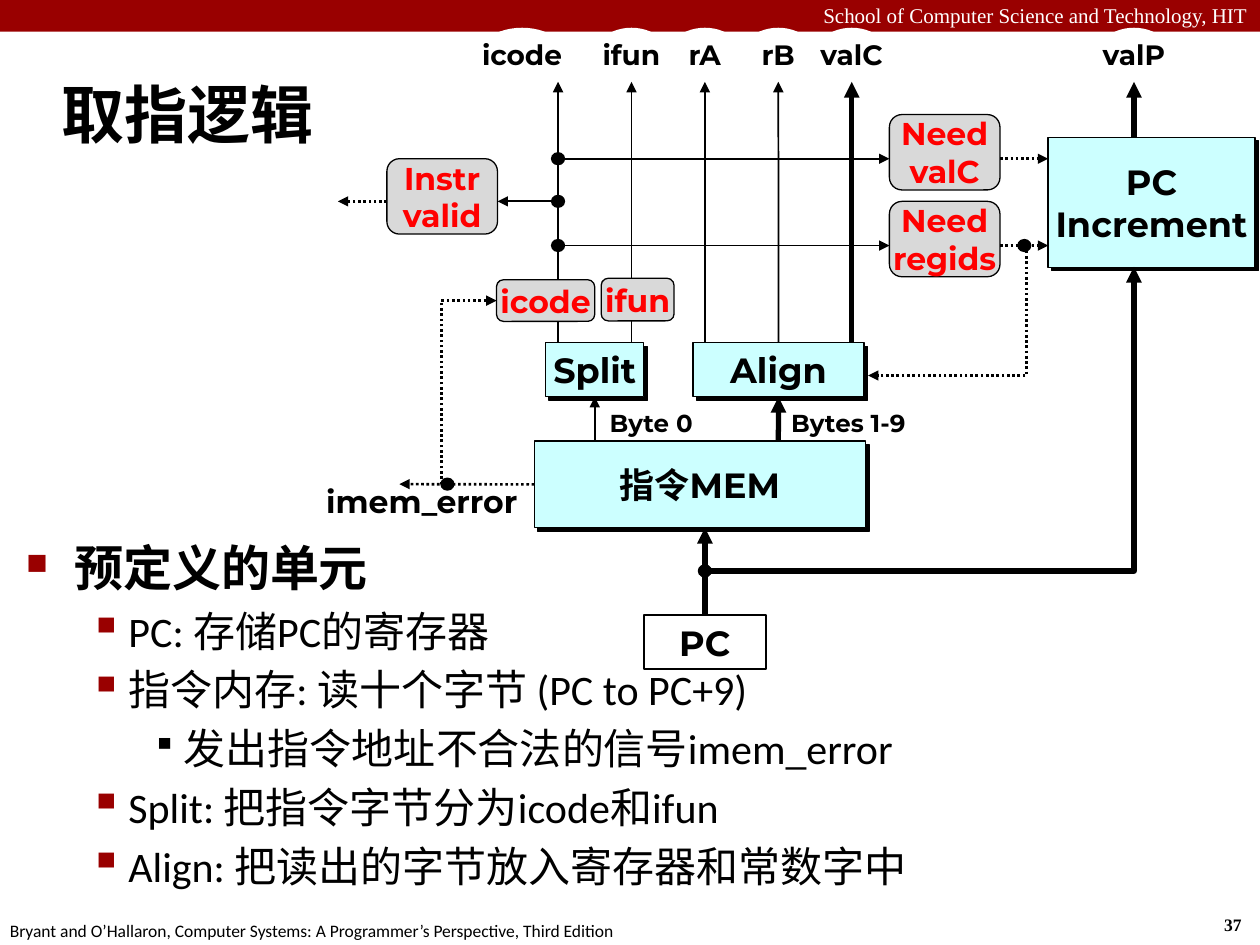
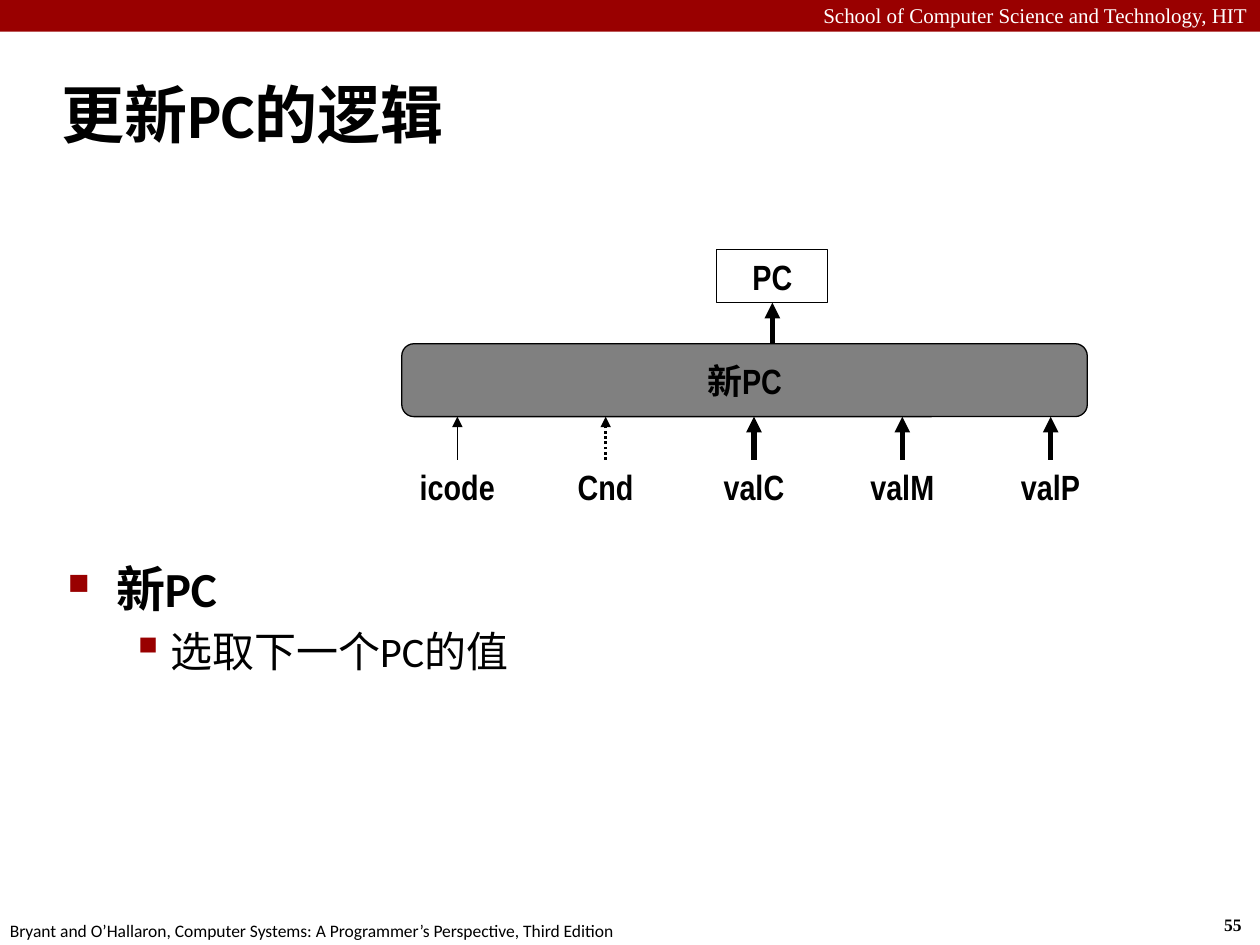
"""Build two lecture slides on the fetch stage and the PC update logic."""
import lxml.etree as etree
import pptx
import pptx.dml.color
import pptx.enum.dml
import pptx.enum.shapes
import pptx.enum.text
import pptx.util

Cm = pptx.util.Cm
Pt = pptx.util.Pt
qn = pptx.oxml.ns.qn
colour = pptx.dml.color.RGBColor.from_string
SHAPE = pptx.enum.shapes.MSO_SHAPE
ALIGN = pptx.enum.text.PP_ALIGN
MIDDLE = pptx.enum.text.MSO_ANCHOR.MIDDLE

BLACK, WHITE, RED, DARK_RED = "000000", "FFFFFF", "FF0000", "990000"
CYAN, LIGHT_GREY, GREY = "CCFFFF", "D9D9D9", "808080"

# kind: preset, fill, outline width, text size, text colour, shadow
BOX_KINDS = {
    "unit": (SHAPE.RECTANGLE, CYAN, 0.75, 20, BLACK, True),
    "control": (SHAPE.ROUNDED_RECTANGLE, LIGHT_GREY, 0.75, 18, RED, False),
    "tag": (SHAPE.ROUNDED_RECTANGLE, LIGHT_GREY, 0.75, 18, RED, False),
    "new_pc": (SHAPE.ROUNDED_RECTANGLE, GREY, 0.75, 20, BLACK, False),
    "register": (SHAPE.RECTANGLE, WHITE, 1, 20, BLACK, False),
    "result": (SHAPE.RECTANGLE, WHITE, 0.75, 20, BLACK, False),
    "output": (SHAPE.OVAL, WHITE, None, 16, BLACK, False),
    "signal": (SHAPE.OVAL, None, None, 18, BLACK, False),
    "input": (SHAPE.OVAL, None, None, 20, BLACK, False),
    "dot": (SHAPE.OVAL, BLACK, 0.75, 18, BLACK, False),
}
# kind: width, dotted, arrowhead
LINE_KINDS = {
    "thin": (1, False, True),
    "thick": (3, False, True),
    "dotted": (1.5, True, True),
    "stem": (1.5, True, False),
}
# level: left indent, hanging indent, size, bold, bullet, bullet colour, bullet percent
BULLETS = [
    (0.97, 0.97, 28, True, "■", DARK_RED, 60),
    (2.06, 0.79, 24, False, "▪", DARK_RED, 110),
    (3.18, 0.64, 24, False, "▪", BLACK, 80),
]

fetch_columns = [round(11.25 + 1.48 * i, 2) for i in range(5)]
icode_x, ifun_x, ra_x, rb_x, valc_x = fetch_columns
valp_x = 22.86
fetch_boxes = [
    ("unit", "指令MEM", 10.77, 8.89, 6.68, 1.75),
    ("unit", "PC\nIncrement", 21.13, 2.77, 4.17, 2.62),
    ("unit", "Split", 11, 6.91, 1.98, 1.09),
    ("unit", "Align", 13.97, 6.91, 3.45, 1.09),
    ("register", "PC", 12.98, 12.4, 2.46, 1.09),
    ("control", "Need\nvalC", 17.93, 2.31, 2.23, 1.52),
    ("control", "Need\nregids", 17.93, 4.06, 2.23, 1.52),
    ("control", "Instr\nvalid", 7.8, 3.2, 2.23, 1.52),
    ("tag", "icode", 10.01, 5.64, 1.98, 0.84),
    ("tag", "ifun", 12.12, 5.61, 1.47, 0.86),
    ("signal", "imem_error", 6.5, 9.35, 4.01, 1.5),
    ("output", "icode", 9.65, 0.56, 1.75, 1.09),
]
for name, x in zip(("ifun", "rA", "rB", "valC", "valP"), fetch_columns[1:] + [valp_x]):
    fetch_boxes.append(("output", name, x - 0.74, 0.56, 1.48, 1.09))
for x, y in ((icode_x, 3.2), (icode_x, 4.06), (icode_x, 4.95),
             (ra_x, 11.51), (20.65, 4.95), (9.02, 9.76)):
    fetch_boxes.append(("dot", "", x - 0.13, y - 0.12, 0.26, 0.24))

fetch_lines = [
    ("thick", (valp_x, 2.77), (valp_x, 1.65)),
    ("thick", (ra_x, 12.4), (ra_x, 10.64)),
    ("thick", (ra_x, 11.51), (valp_x, 11.51), (valp_x, 5.38)),
    ("thin", (icode_x, 3.2), (17.93, 3.2)),
    ("thin", (icode_x, 4.95), (17.93, 4.95)),
    ("thin", (icode_x, 4.06), (10.03, 4.06)),
    ("dotted", (20.16, 3.2), (21.13, 3.2)),
    ("dotted", (20.16, 4.95), (21.13, 4.95)),
    ("dotted", (7.8, 4.06), (6.81, 4.06)),
    ("dotted", (20.7, 4.95), (20.7, 7.57), (17.5, 7.57)),
    ("thick", (rb_x, 8.89), (rb_x, 8)),
    ("thin", (11.99, 8.89), (11.99, 8)),
    ("dotted", (10.77, 9.76), (8.05, 9.76)),
    ("stem", (8.9, 9.76), (8.9, 6.06)),
    ("dotted", (8.9, 6.06), (10.01, 6.06)),
]
for x in fetch_columns:
    fetch_lines.append(("thick" if x == valc_x else "thin", (x, 6.91), (x, 1.65)))

update_boxes = [
    ("new_pc", "新PC", 8.1, 6.93, 13.82, 1.47),
    ("result", "PC", 14.45, 5.03, 2.24, 1.07),
]
update_lines = [("thick", (15.57, 6.93), (15.57, 6.1))]
inputs = (("icode", "thin"), ("Cnd", "dotted"), ("valC", "thick"), ("valM", "thick"), ("valP", "thick"))
for i, (name, kind) in enumerate(inputs):
    x = 9.22 + 2.99 * i
    update_boxes.append(("input", name, x - 1.12, 9.27, 2.24, 1.07))
    update_lines.append((kind, (x, 9.27), (x, 8.4)))

pages = [
    dict(title="取指逻辑", number="37", font="Montserrat", boxes=fetch_boxes, lines=fetch_lines,
         notes=[("Byte 0", 12.04, 8.1, 2.26, 0.86), ("Bytes 1-9", 15.7, 8.1, 3.05, 0.86)],
         body_place=(0.28, 10.72, 23.06, 7.42),
         body=[(0, "预定义的单元"),
               (1, "PC: 存储PC的寄存器"),
               (1, "指令内存: 读十个字节 (PC to PC+9)"),
               (2, "发出指令地址不合法的信号imem_error"),
               (1, "Split: 把指令字节分为icode和ifun"),
               (1, "Align: 把读出的字节放入寄存器和常数字中")]),
    dict(title="更新PC的逻辑", number="55", font="Arial Narrow", boxes=update_boxes, lines=update_lines,
         notes=[],
         body_place=(1.12, 11.13, 14.83, 7.01),
         body=[(0, "新PC"), (1, "选取下一个PC的值")]),
]


def write(frame, text, size=20, font="Calibri", color=BLACK, bold=False, align=ALIGN.LEFT, wrap=False):
    """Add each line of text as a paragraph and return the last one."""
    frame.word_wrap = wrap
    for line_text in text.split("\n"):
        paragraph = frame.add_paragraph() if frame.text else frame.paragraphs[0]
        paragraph.alignment = align
        run = paragraph.add_run()
        run.text = line_text
        run.font.size, run.font.name, run.font.bold = Pt(size), font, bold
        run.font.color.rgb = colour(color)
    return paragraph


def add_text(slide, text, place, **style):
    """Add a text box that grows with its text."""
    frame = slide.shapes.add_textbox(*map(Cm, place)).text_frame
    write(frame, text, **style)
    frame.auto_size = pptx.enum.text.MSO_AUTO_SIZE.SHAPE_TO_FIT_TEXT


presentation = pptx.Presentation()
presentation.slide_width, presentation.slide_height = Cm(25.4), Cm(19.05)

for page in pages:
    slide = presentation.slides.add_slide(presentation.slide_layouts[5])
    font = page["font"]

    band = slide.shapes.add_shape(SHAPE.RECTANGLE, 0, 0, Cm(25.4), Cm(0.64))
    band.shadow.inherit = False
    band.fill.solid()
    band.fill.fore_color.rgb = colour(DARK_RED)
    band.line.fill.background()
    add_text(slide, "School of Computer Science and Technology, HIT", (0, -0.08, 25.4, 0.76),
             size=12, font="Times New Roman", color=WHITE, align=ALIGN.RIGHT, wrap=True)
    add_text(slide, page["number"], (24.43, 18.31, 0.94, 0.69), size=10, font="Times New Roman", bold=True)
    add_text(slide, "Bryant and O’Hallaron, Computer Systems: A Programmer’s Perspective, Third Edition",
             (-0.05, 18.42, 12.9, 0.69), size=10)

    title = slide.shapes.title
    title.left, title.top, title.width, title.height = map(Cm, (0.99, 1.22, 24.41, 2.11))
    title.text_frame.vertical_anchor = MIDDLE
    write(title.text_frame, page["title"], size=36, bold=True, wrap=True)

    body = slide.shapes.add_textbox(*map(Cm, page["body_place"])).text_frame
    for level, text in page["body"]:
        left, hanging, size, bold, bullet, bullet_colour, percent = BULLETS[level]
        paragraph = write(body, text, size=size, bold=bold, wrap=True)
        paragraph.level = level
        paragraph.space_before = Pt(size * 0.2)
        properties = paragraph._p.get_or_add_pPr()
        properties.set("marL", str(Cm(left)))
        properties.set("indent", str(-Cm(hanging)))
        bullet_fill = etree.SubElement(properties, qn("a:buClr"))
        etree.SubElement(bullet_fill, qn("a:srgbClr"), val=bullet_colour)
        etree.SubElement(properties, qn("a:buSzPct"), val=str(percent * 1000))
        etree.SubElement(properties, qn("a:buChar"), char=bullet)

    sides = []
    tags = []
    for kind, text, left, top, width, height in page["boxes"]:
        preset, fill, outline, size, color, shadowed = BOX_KINDS[kind]
        box = slide.shapes.add_shape(preset, *map(Cm, (left, top, width, height)))
        box.shadow.inherit = False
        if shadowed:
            effects = box._element.spPr.find(qn("a:effectLst"))
            shadow = etree.SubElement(effects, qn("a:outerShdw"), blurRad="0", dist=str(Pt(2.8)),
                                      dir="2700000", algn="ctr", rotWithShape="0")
            etree.SubElement(shadow, qn("a:srgbClr"), val=BLACK)
        if fill:
            box.fill.solid()
            box.fill.fore_color.rgb = colour(fill)
        else:
            box.fill.background()
        if outline:
            box.line.color.rgb = colour(BLACK)
            box.line.width = Pt(outline)
        else:
            box.line.fill.background()
        if text:
            box.text_frame.vertical_anchor = MIDDLE
            write(box.text_frame, text, size=size, font=font, color=color, bold=True, align=ALIGN.CENTER)
        if preset != SHAPE.OVAL:
            middle_x, middle_y = left + width / 2, top + height / 2
            middles = ((middle_x, top), (left, middle_y), (middle_x, top + height), (left + width, middle_y))
            sides += [(box, site, x, y) for site, (x, y) in enumerate(middles)]
        if kind == "tag":
            tags.append(box)

    for kind, *points in page["lines"]:
        width, dotted, arrow = LINE_KINDS[kind]
        corners = [(Cm(x), Cm(y)) for x, y in points]
        if len(points) == 2:
            line = slide.shapes.add_connector(pptx.enum.shapes.MSO_CONNECTOR.STRAIGHT, *corners[0], *corners[1])
            for (x, y), connect in zip(points, (line.begin_connect, line.end_connect)):
                for box, site, side_x, side_y in sides:
                    if abs(x - side_x) < 0.03 and abs(y - side_y) < 0.03:
                        connect(box, site)
        else:
            builder = slide.shapes.build_freeform(*corners[0])
            builder.add_line_segments(corners[1:], close=False)
            line = builder.convert_to_shape()
            line.fill.background()
        line.line.color.rgb = colour(BLACK)
        line.line.width = Pt(width)
        if dotted:
            line.line.dash_style = pptx.enum.dml.MSO_LINE.ROUND_DOT
        if arrow:
            etree.SubElement(line.line._get_or_add_ln(), qn("a:tailEnd"), type="triangle")
        etree.SubElement(line._element.spPr, qn("a:effectLst"))

    for tag in tags:
        slide.shapes._spTree.append(tag._element)
    for text, *place in page["notes"]:
        add_text(slide, text, place, size=14, font=font, bold=True)

presentation.save("out.pptx")
